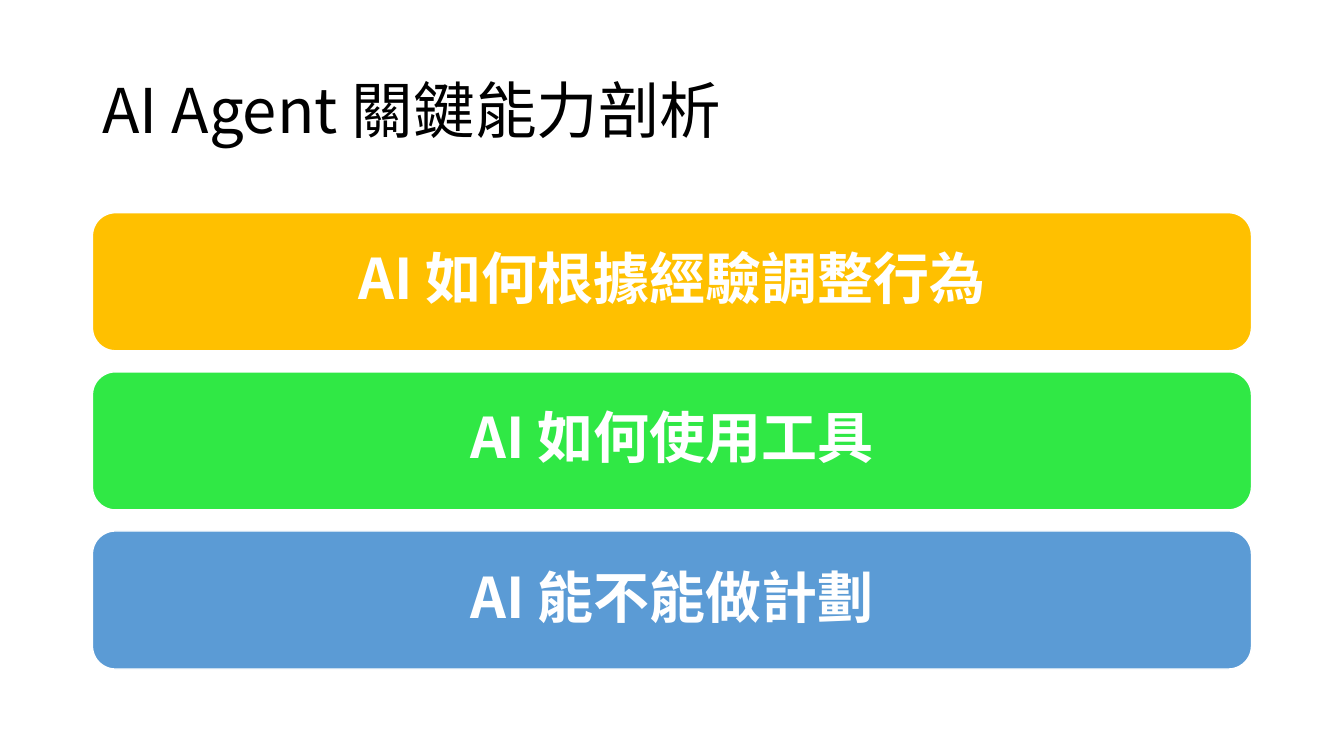
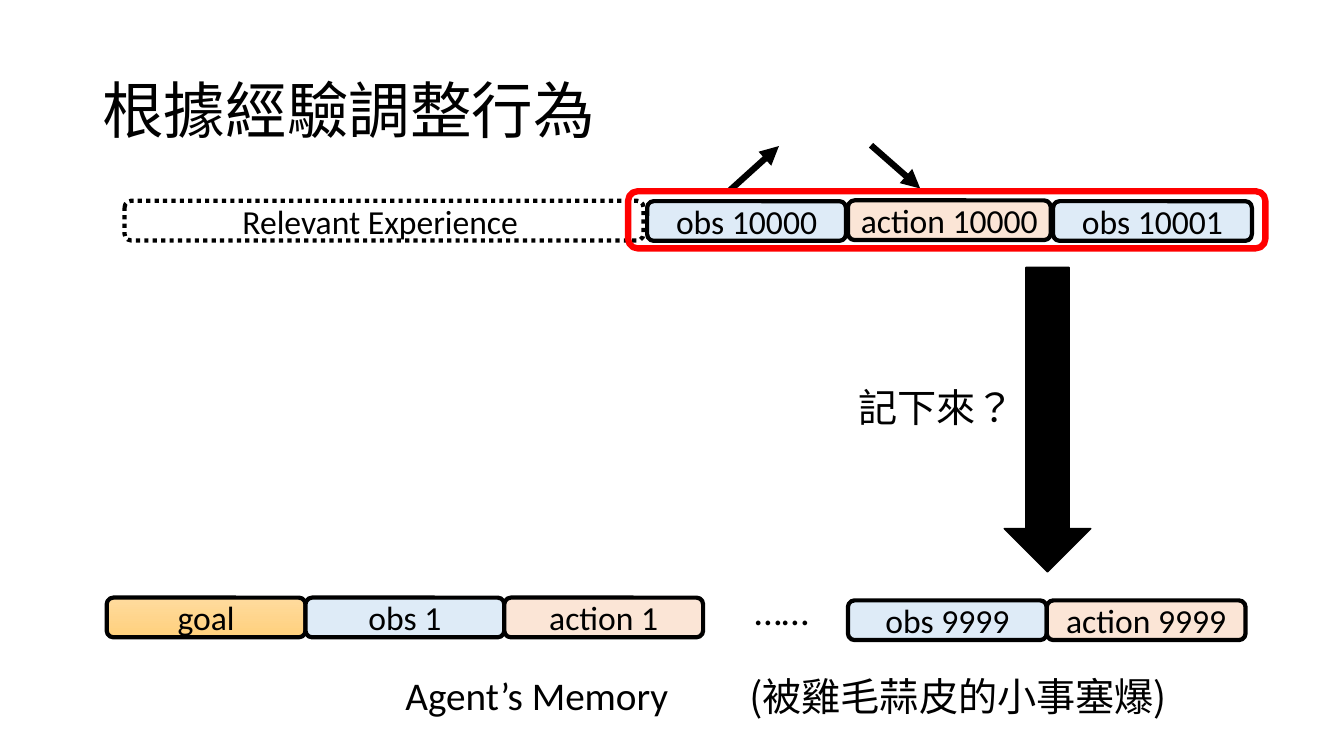
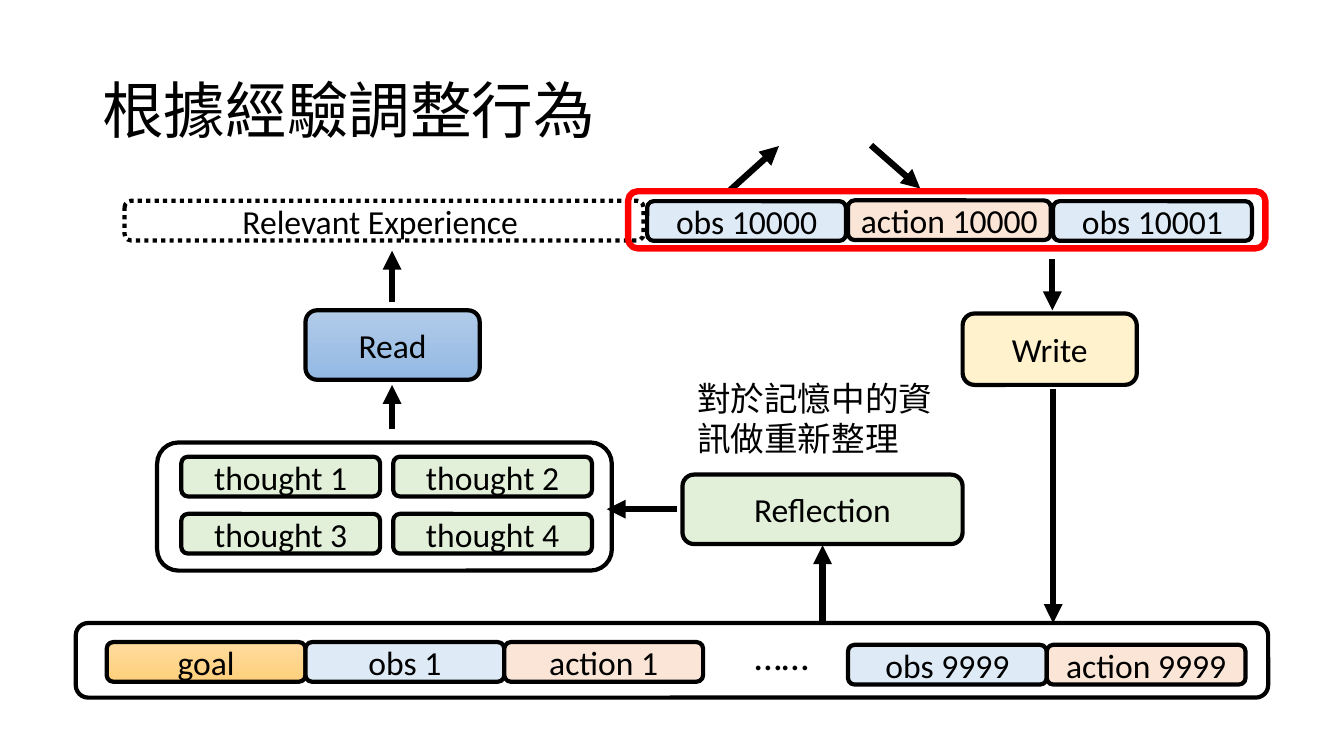
from itertools import product

from lxml.etree import SubElement
from pptx import Presentation
from pptx.dml.color import RGBColor
from pptx.enum.dml import MSO_LINE
from pptx.enum.shapes import MSO_CONNECTOR, MSO_SHAPE
from pptx.enum.text import MSO_ANCHOR, PP_ALIGN
from pptx.oxml.ns import qn
from pptx.util import Cm, Pt

COLORS = {
    "black": "000000",
    "white": "FFFFFF",
    "amber": "FFC000",
    "green": "30E845",
    "blue": "5B9BD5",
    "red": "FF0000",
    "observation": "DEEBF7",
    "action": "FBE5D6",
    "thought": "E2F0D9",
    "write": "FFF2CC",
    "goal top": "FFDB9E",
    "goal bottom": "FFD07C",
    "read top": "B1CBE9",
    "read bottom": "93B9E4",
}
GOAL = ("goal top", "goal bottom")
READ = ("read top", "read bottom")
LATIN = "Calibri"
CHINESE = "Noto Sans CJK SC"
CELL_WIDTH = 5.01
CELL_HEIGHT = 1.0
EXPERIENCE_TITLE = "根據經驗調整行為"


def rgb(name):
    return RGBColor.from_string(COLORS[name])


def write_text(frame, text, size=24, font=LATIN, color="black", bold=False,
               align=PP_ALIGN.CENTER, anchor=MSO_ANCHOR.MIDDLE, spacing=1.0):
    frame.word_wrap = True
    frame.vertical_anchor = anchor
    para = frame.paragraphs[0]
    para.alignment = align
    para.line_spacing = spacing
    span = para.add_run()
    span.text = text
    span.font.size = Pt(size)
    span.font.bold = bold
    span.font.color.rgb = rgb(color)
    span.font.name = font
    properties = span.font._element
    properties.set("lang", "zh-TW" if font == CHINESE else "en-US")
    SubElement(properties, qn("a:ea")).set("typeface", font)


def add_label(page, text, left, top, width, height, **style):
    box = page.shapes.add_textbox(Cm(left), Cm(top), Cm(width), Cm(height))
    write_text(box.text_frame, text, **style)


def paint(shape, fill):
    if fill is None:
        shape.fill.background()
    elif isinstance(fill, tuple):
        shape.fill.gradient()
        shape.fill.gradient_angle = 270
        for stop, name in zip(shape.fill.gradient_stops, fill):
            stop.color.rgb = rgb(name)
    else:
        shape.fill.solid()
        shape.fill.fore_color.rgb = rgb(fill)


def add_block(page, left, top, width, height, fill=None, line="black", weight=3,
              dash=None, kind=MSO_SHAPE.ROUNDED_RECTANGLE, text=None, **style):
    shape = page.shapes.add_shape(kind, Cm(left), Cm(top), Cm(width), Cm(height))
    shape.shadow.inherit = False
    paint(shape, fill)
    shape.line.color.rgb = rgb(line)
    shape.line.width = Pt(weight)
    if dash:
        shape.line.dash_style = dash
    if text:
        write_text(shape.text_frame, text, **style)


def add_cell(page, text, left, top, fill, width=CELL_WIDTH):
    add_block(page, left, top, width, CELL_HEIGHT, fill, text=text)


def add_arrow(page, start_x, start_y, end_x, end_y):
    arrow = page.shapes.add_connector(
        MSO_CONNECTOR.STRAIGHT, Cm(start_x), Cm(start_y), Cm(end_x), Cm(end_y))
    arrow.line.color.rgb = rgb("black")
    arrow.line.width = Pt(4.5)
    SubElement(arrow.line._get_or_add_ln(), qn("a:tailEnd")).set("type", "triangle")
    SubElement(arrow._element.spPr, qn("a:effectLst"))


def add_page(deck, title):
    page = deck.slides.add_slide(deck.slide_layouts[6])
    add_label(page, title, 2.33, 1.01, 29.21, 3.68, size=44, font=CHINESE,
              align=PP_ALIGN.LEFT, spacing=0.9)
    return page


def add_current_steps(page):
    add_cell(page, "obs 10000", 16.31, 5.07, "observation")
    add_arrow(page, 18.39, 4.8, 19.63, 3.68)
    add_arrow(page, 21.95, 3.66, 23.19, 4.75)
    add_block(page, 3.14, 5.06, 13.08, CELL_HEIGHT, dash=MSO_LINE.ROUND_DOT,
              text="Relevant Experience ")
    add_cell(page, "action 10000", 21.37, 5.05, "action", width=5.11)
    add_block(page, 15.83, 4.82, 16.06, 1.44, line="red", weight=4.5)
    add_cell(page, "obs 10001", 26.54, 5.07, "observation")


def add_memory(page, top):
    first = (("goal", GOAL), ("obs 1", "observation"), ("action 1", "action"))
    last = (("obs 9999", "observation"), ("action 9999", "action"))
    for left, row_top, cells in ((2.69, top, first), (21.37, top + 0.07, last)):
        for column, (text, fill) in enumerate(cells):
            add_cell(page, text, left + column * CELL_WIDTH, row_top, fill)
    add_label(page, "……", 17.73, top - 0.4, 3.94, 1.44, size=28,
              anchor=MSO_ANCHOR.TOP)


def build_abilities(deck):
    page = add_page(deck, "AI Agent 關鍵能力剖析")
    abilities = (
        ("AI 如何根據經驗調整行為", "amber"),
        ("AI 如何使用工具", "green"),
        ("AI 能不能做計劃", "blue"),
    )
    for row, (text, fill) in enumerate(abilities):
        add_block(page, 2.33, 5.36 + row * 4.01, 29.21, 3.48, fill, line="white",
                  weight=1, text=text, size=40, font=CHINESE, color="white",
                  bold=True, spacing=0.9)


def build_full_memory(deck):
    page = add_page(deck, EXPERIENCE_TITLE)
    add_current_steps(page)
    add_memory(page, 15.06)
    add_block(page, 25.31, 6.74, 2.18, 7.67, "black", weight=1,
              kind=MSO_SHAPE.DOWN_ARROW)
    add_label(page, "記下來？", 20.09, 9.53, 5.74, 1.44, size=28, font=CHINESE,
              align=PP_ALIGN.RIGHT, anchor=MSO_ANCHOR.TOP)
    add_label(page, "Agent’s Memory ", 5.92, 16.8, 15.44, 1.44, size=28,
              anchor=MSO_ANCHOR.TOP)
    add_label(page, "(被雞毛蒜皮的小事塞爆)", 16.43, 16.81, 15.44, 1.44, size=28,
              font=CHINESE, anchor=MSO_ANCHOR.TOP)


def build_reflection(deck):
    page = add_page(deck, EXPERIENCE_TITLE)
    add_current_steps(page)
    add_block(page, 24.26, 7.9, 4.39, 1.8, "write", text="Write")
    add_block(page, 7.7, 7.82, 4.39, 1.75, READ, text="Read")
    add_block(page, 17.2, 11.96, 7.06, 1.75, "thought", text="Reflection")
    add_block(page, 3.96, 11.15, 11.46, 3.23)
    for number, (row, column) in enumerate(product(range(2), repeat=2), 1):
        add_cell(page, f"thought {number}", 4.57 + column * 5.34,
                 11.51 + row * 1.44, "thought")
    add_block(page, 1.91, 15.7, 30.05, 1.88)
    add_memory(page, 16.18)
    for points in (
        (26.52, 6.53, 26.52, 7.82),
        (26.54, 9.8, 26.54, 15.7),
        (20.73, 15.7, 20.73, 13.74),
        (17.07, 12.83, 15.29, 12.83),
        (9.88, 10.82, 9.88, 9.7),
        (9.88, 7.62, 9.88, 6.32),
    ):
        add_arrow(page, *points)
    add_label(page, "對於記憶中的資訊做重新整理", 17.32, 9.4, 6.73, 2.31,
              font=CHINESE, align=PP_ALIGN.LEFT, anchor=MSO_ANCHOR.TOP)


def main():
    deck = Presentation()
    deck.slide_width = Cm(33.87)
    deck.slide_height = Cm(19.05)
    build_abilities(deck)
    build_full_memory(deck)
    build_reflection(deck)
    deck.save("out.pptx")


if __name__ == "__main__":
    main()
